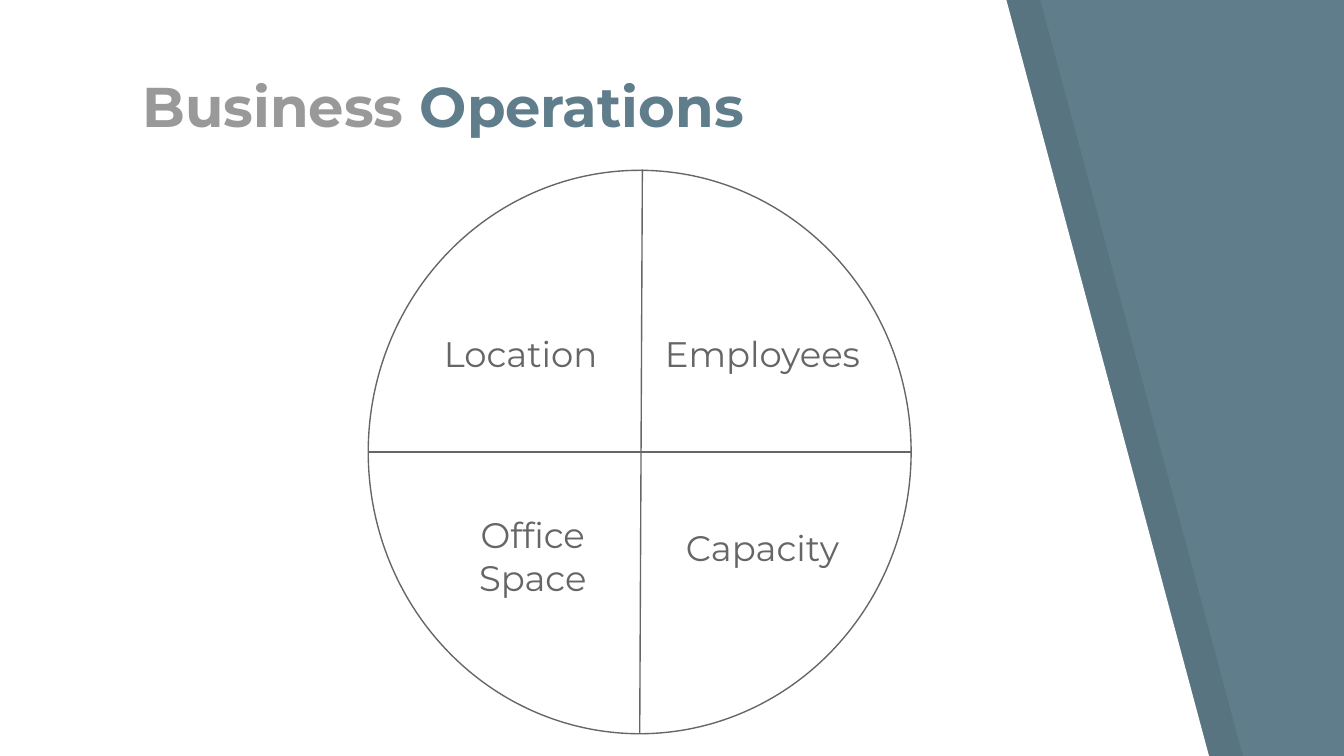
from lxml import etree
from pptx import Presentation
from pptx.dml.color import RGBColor
from pptx.enum.shapes import MSO_CONNECTOR, MSO_SHAPE
from pptx.enum.text import MSO_ANCHOR, PP_ALIGN
from pptx.oxml.ns import qn
from pptx.util import Cm, Pt

OVAL = MSO_SHAPE.OVAL
LINE = MSO_CONNECTOR.STRAIGHT
LEFT, MID = PP_ALIGN.LEFT, PP_ALIGN.CENTER
TOP, LOW = MSO_ANCHOR.TOP, MSO_ANCHOR.BOTTOM

TEAL, GRAY, DARK = "607D8B", "999999", "666666"
BLACK, WHITE = "000000", "FFFFFF"
HEAD = {"name": "Montserrat", "size": Pt(30), "bold": True}
BODY = {"name": "Montserrat", "size": Pt(19), "bold": False}
INSET = Cm(0.25)


def paint(color, code):
    color.rgb = RGBColor.from_string(code)


def apply(item, style):
    for key, value in style.items():
        setattr(item, key, value)


class Page:
    def __init__(self, deck, back):
        self.slide = deck.slides.add_slide(deck.slide_layouts[6])
        self.shapes = self.slide.shapes
        fill = self.slide.background.fill
        fill.solid()
        paint(fill.fore_color, back)
        self.frame = {
            "word_wrap": True,
            "margin_left": INSET,
            "margin_right": INSET,
            "margin_top": INSET,
            "margin_bottom": INSET,
        }

    def stroke(self, line):
        line.width = Pt(0.75)
        paint(line.color, DARK)

    def panel(self, points, code, alpha=100):
        first, *rest = [(Cm(x), Cm(y)) for x, y in points]
        pen = self.shapes.build_freeform(*first)
        pen.add_line_segments(rest, close=True)
        shape = pen.convert_to_shape()
        shape.shadow.inherit = False
        shape.line.fill.background()
        shape.fill.solid()
        paint(shape.fill.fore_color, code)
        if alpha < 100:
            color = shape.fill._xPr.find(qn("a:solidFill"))[0]
            etree.SubElement(color, qn("a:alpha")).set("val", str(alpha * 1000))

    def ring(self, *box):
        shape = self.shapes.add_shape(OVAL, *map(Cm, box))
        shape.shadow.inherit = False
        shape.fill.background()
        self.stroke(shape.line)

    def rule(self, *ends):
        link = self.shapes.add_connector(LINE, *map(Cm, ends))
        self.stroke(link.line)
        etree.SubElement(link._element.spPr, qn("a:effectLst"))

    def text(self, box, runs, style, align=MID, anchor=TOP):
        frame = self.shapes.add_textbox(*map(Cm, box)).text_frame
        apply(frame, self.frame)
        frame.vertical_anchor = anchor
        para = frame.paragraphs[0]
        para.alignment = align
        for words, code in runs:
            run = para.add_run()
            run.text = words
            apply(run.font, style)
            paint(run.font.color, code)


def main():
    deck = Presentation()
    deck.slide_width, deck.slide_height = Cm(25.4), Cm(14.29)
    page = Page(deck, TEAL)

    for shift, code, alpha in ((0.64, BLACK, 7), (0, WHITE, 100)):
        edge = ((0, -0.03), (0, 14.33), (22.86, 14.33), (19.02, 0))
        page.panel([(x + shift, y) for x, y in edge], code, alpha)

    title = (("Business ", GRAY), ("Operations", TEAL))
    page.text((2.44, 1.52, 14.78, 1.35), title, HEAD, LEFT, LOW)

    left, top, wide, high = 6.96, 3.22, 10.26, 10.65
    page.ring(left, top, wide, high)
    page.rule(12.14, 3.2, 12.09, 13.87)
    level = top + high / 2
    page.rule(left + wide, level, left, level)

    labels = (
        ("Location", 7.67, 6.03, 1.35),
        ("Employees", 12.24, 6.03, 1.35),
        ("Office Space", 7.9, 9.45, 1.88),
        ("Capacity", 12.24, 9.7, 1.35),
    )
    for words, x, y, tall in labels:
        page.text((x, y, 4.34, tall), ((words, DARK),), BODY)

    deck.save("out.pptx")


if __name__ == "__main__":
    main()
